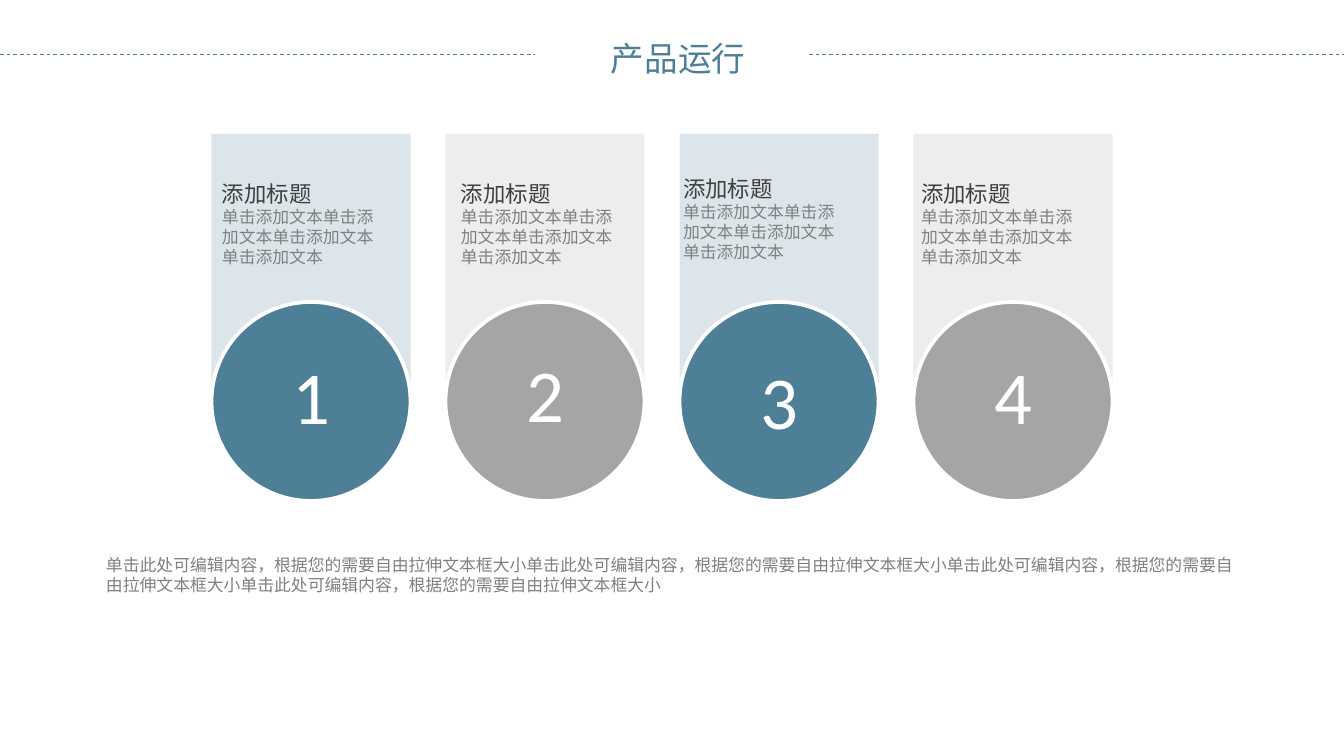
"""Build the product operation slide with four numbered cards."""
from lxml.etree import SubElement
from pptx import Presentation
from pptx.dml.color import RGBColor
from pptx.enum.dml import MSO_LINE
from pptx.enum.shapes import MSO_CONNECTOR, MSO_SHAPE
from pptx.enum.text import MSO_ANCHOR, MSO_AUTO_SIZE, PP_ALIGN
from pptx.oxml.ns import qn
from pptx.util import Emu, Pt

BLUE = RGBColor(0x4D, 0x7F, 0x97)
GRAY = RGBColor(0xA5, 0xA5, 0xA5)
DARK = RGBColor(0x40, 0x40, 0x40)
MUTED = RGBColor(0x80, 0x80, 0x80)
WHITE = RGBColor(0xFF, 0xFF, 0xFF)
CHINESE_FONT = "Noto Sans CJK SC"
NUMBER_FONT = "Calibri"

TITLE = "产品运行"
HEADING = "添加标题"
BODY = "单击添加文本" * 4
FOOTER = "，".join(["单击此处可编辑内容"] + ["根据您的需要自由拉伸文本框大小单击此处可编辑内容"] * 3
                  + ["根据您的需要自由拉伸文本框大小"])
CARDS = [
    {"number": "1", "color": BLUE, "text": (222, 145, 180), "number_top": 343},
    {"number": "2", "color": GRAY, "text": (461, 145, 169), "number_top": 341},
    {"number": "3", "color": BLUE, "text": (683, 140, 172), "number_top": 348},
    {"number": "4", "color": GRAY, "text": (921, 145, 177), "number_top": 343},
]
DASHES = [(0, 535), (809, 1344)]

SLIDE_WIDTH, SLIDE_HEIGHT = 1344, 756
DASH_TOP = 55
FIRST_CENTER, CARD_STEP = 311, 234
CARD_TOP, CARD_LENGTH, CARD_WIDTH = 134, 328, 199
CIRCLE_TOP = 302
TEXT_HEIGHT = 129
NUMBER_WIDTH, NUMBER_HEIGHT = 66, 103
PADDING = (9, 5, 9, 5)
CARD_PADDING = (0, 7, 13, 7)
NUMBER_PADDING = (13, 7, 13, 7)


def px(value):
    return Emu(round(value * 914400 / 134.4))


def box(*lengths):
    return [px(length) for length in lengths]


def set_frame(frame, padding, wrap=True, anchor=MSO_ANCHOR.TOP):
    frame.auto_size = MSO_AUTO_SIZE.NONE
    frame.word_wrap = wrap
    frame.vertical_anchor = anchor
    (frame.margin_left, frame.margin_top,
     frame.margin_right, frame.margin_bottom) = box(*padding)


def write(paragraph, text, size, color, font=CHINESE_FONT, spacing=None, align=PP_ALIGN.LEFT):
    paragraph.alignment = align
    if spacing:
        paragraph.line_spacing = Pt(spacing)
    run = paragraph.add_run()
    run.text = text
    run.font.size = Pt(size)
    run.font.name = font
    run.font.color.rgb = color
    SubElement(run.font._element, qn("a:ea"), typeface=font)


def add_dash(shapes, left, right):
    line = shapes.add_connector(MSO_CONNECTOR.STRAIGHT, *box(left, DASH_TOP, right, DASH_TOP))
    line.line.color.rgb = BLUE
    line.line.width = Pt(0.5)
    line.line.dash_style = MSO_LINE.DASH
    SubElement(line._element.spPr, qn("a:effectLst"))


def add_filled(shapes, kind, place, color):
    shape = shapes.add_shape(kind, *box(*place))
    shape.shadow.inherit = False
    shape.fill.solid()
    shape.fill.fore_color.rgb = color
    shape.line.fill.background()
    return shape


def add_card(slide, center, card):
    shapes = slide.shapes.add_group_shape().shapes
    place = (center - CARD_LENGTH / 2, CARD_TOP + (CARD_LENGTH - CARD_WIDTH) / 2,
             CARD_LENGTH, CARD_WIDTH)
    panel = add_filled(shapes, MSO_SHAPE.PENTAGON, place, card["color"])
    panel.rotation = 90
    panel.adjustments[0] = 0.32
    color = panel._element.spPr.find(qn("a:solidFill")).find(qn("a:srgbClr"))
    SubElement(color, qn("a:alpha"), val="20000")

    frame = shapes.add_textbox(*box(*card["text"], TEXT_HEIGHT)).text_frame
    set_frame(frame, CARD_PADDING, anchor=MSO_ANCHOR.BOTTOM)
    write(frame.paragraphs[0], HEADING, 12, DARK, spacing=14.5)
    write(frame.add_paragraph(), BODY, 9, MUTED, spacing=10.7)


def add_number(slide, center, card):
    shapes = slide.shapes.add_group_shape().shapes
    place = (center - CARD_WIDTH / 2, CIRCLE_TOP, CARD_WIDTH, CARD_WIDTH)
    circle = add_filled(shapes, MSO_SHAPE.OVAL, place, card["color"])
    circle.line.color.rgb = WHITE
    circle.line.width = Pt(2)

    frame = shapes.add_textbox(*box(center - NUMBER_WIDTH / 2, card["number_top"],
                                    NUMBER_WIDTH, NUMBER_HEIGHT)).text_frame
    set_frame(frame, NUMBER_PADDING, wrap=False)
    write(frame.paragraphs[0], card["number"], 40, WHITE, NUMBER_FONT, align=PP_ALIGN.CENTER)


def main():
    presentation = Presentation()
    presentation.slide_width, presentation.slide_height = box(SLIDE_WIDTH, SLIDE_HEIGHT)
    slide = presentation.slides.add_slide(presentation.slide_layouts.get_by_name("Title Only"))

    title = slide.shapes.title
    title.left, title.top, title.width, title.height = box(602, 30, 156, 51)
    set_frame(title.text_frame, PADDING, wrap=False)
    write(title.text_frame.paragraphs[0], TITLE, 18, BLUE, spacing=23)
    for left, right in DASHES:
        add_dash(slide.shapes, left, right)

    centers = [FIRST_CENTER + index * CARD_STEP for index in range(len(CARDS))]
    for center, card in zip(centers, CARDS):
        add_card(slide, center, card)

    footer = slide.shapes.add_textbox(*box(97, 550, 1152, 51)).text_frame
    set_frame(footer, PADDING)
    write(footer.paragraphs[0], FOOTER, 9, MUTED, spacing=10.7)

    for center, card in zip(centers, CARDS):
        add_number(slide, center, card)
    presentation.save("out.pptx")


if __name__ == "__main__":
    main()
